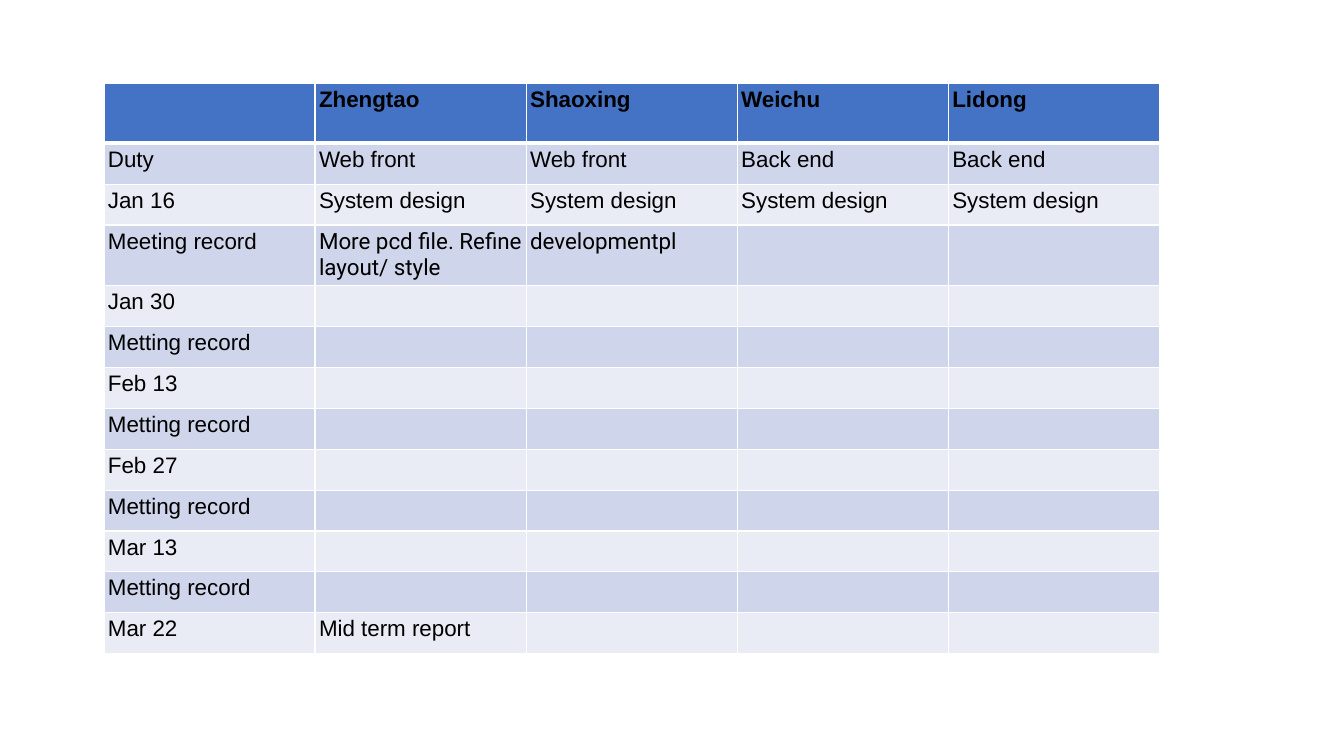
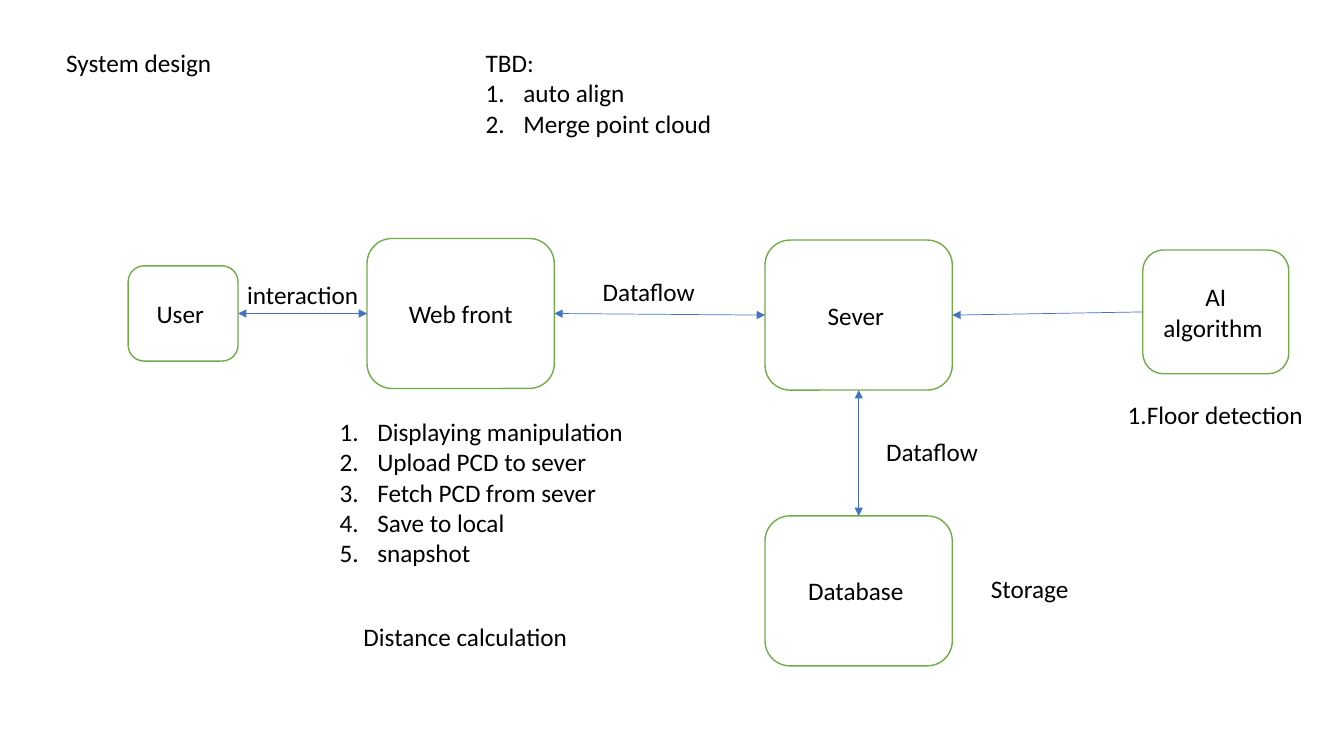
from lxml import etree
from pptx import Presentation
from pptx.dml.color import RGBColor
from pptx.enum.shapes import MSO_CONNECTOR, MSO_SHAPE
from pptx.enum.text import MSO_ANCHOR, MSO_AUTO_SIZE, PP_ALIGN
from pptx.oxml.ns import qn
from pptx.util import Cm, Pt

BLACK = RGBColor(0x00, 0x00, 0x00)
WHITE = RGBColor(0xFF, 0xFF, 0xFF)
BLUE = RGBColor(0x44, 0x72, 0xC4)
GREEN = RGBColor(0x70, 0xAD, 0x47)
BAND_DARK = RGBColor(0xCF, 0xD5, 0xEA)
BAND_LIGHT = RGBColor(0xE9, 0xEB, 0xF5)

STRAIGHT = MSO_CONNECTOR.STRAIGHT
ROUNDED = MSO_SHAPE.ROUNDED_RECTANGLE
MIDDLE = MSO_ANCHOR.MIDDLE
CENTER = PP_ALIGN.CENTER
GROW = MSO_AUTO_SIZE.SHAPE_TO_FIT_TEXT
TOP, LEFT, BOTTOM, RIGHT = range(4)

BODY_FONT, TABLE_FONT, RECORD_FONT = "Calibri", "Arial", "Roboto"

SCHEDULE = [
    ["", "Zhengtao", "Shaoxing", "Weichu", "Lidong"],
    ["Duty", "Web front", "Web front", "Back end", "Back end"],
    ["Jan 16"] + ["System design"] * 4,
    ["Meeting record", "More pcd file. Refine layout/ style", "developmentpl"],
    ["Jan 30"],
    ["Metting record"],
    ["Feb 13"],
    ["Metting record"],
    ["Feb 27"],
    ["Metting record"],
    ["Mar 13"],
    ["Metting record"],
    ["Mar 22", "Mid term report"],
]
HEADER_ROW, RECORD_ROW = 0, 3
TABLE_LEFT, TABLE_TOP, COLUMN_WIDTH = 2.62, 2.11, 5.32
ROW_HEIGHT = 1.03
TALL_ROWS = {HEADER_ROW: 1.5, RECORD_ROW: 1.53}

BOXES = {
    "web": ("Web front", 9.25, 6.01, 4.72, 3.78),
    "server": ("Sever ", 19.28, 6.05, 4.72, 3.78),
    "database": ("Database ", 19.28, 13, 4.72, 3.78),
    "user": ("User ", 3.23, 6.7, 2.77, 2.4),
    "algorithm": ("AI algorithm ", 28.8, 6.3, 3.68, 3.12),
}

ARROWS = [
    ("user", RIGHT, "web", LEFT, True),
    ("server", BOTTOM, "database", TOP, True),
    ("web", RIGHT, "server", LEFT, True),
    ("algorithm", LEFT, "server", RIGHT, False),
]

LABELS = [
    (["System design"], [], 1.42, 1.07, 4.34),
    (["interaction"], [], 5.98, 6.91, 3.35),
    (["Dataflow"], [], 22.08, 10.88, 3),
    (["Dataflow"], [], 14.94, 6.83, 3),
    ([], ["Displaying manipulation", "Upload PCD to sever", "Fetch PCD from sever",
          "Save to local", "snapshot"], 8.31, 10.37, 8.23),
    (["Storage"], [], 24.72, 14.33, 2.64),
    (["TBD:"], ["auto align", "Merge point cloud"], 11.99, 1.07, 6.43),
    (["1.Floor detection"], [], 28.17, 9.93, 4.98),
    (["Distance calculation"], [], 8.91, 15.53, 5.72),
]
LINE_HEIGHT, PADDING, NUMBER_INDENT = 0.77, 0.25, 0.95


def style_paragraph(paragraph, font_name, size, bold=False):
    for run in paragraph.runs:
        run.font.name = font_name
        run.font.size = Pt(size)
        run.font.bold = bold
        run.font.color.rgb = BLACK


def add_borders(cell, bottom_width):
    properties = cell._tc.get_or_add_tcPr()
    for position, side in enumerate(("lnL", "lnR", "lnT", "lnB")):
        width = bottom_width if side == "lnB" else 1
        border = etree.Element(qn(f"a:{side}"), w=str(Pt(width)))
        fill = etree.SubElement(border, qn("a:solidFill"))
        etree.SubElement(fill, qn("a:srgbClr"), val=str(WHITE))
        properties.insert(position, border)


def add_schedule(slide):
    heights = [TALL_ROWS.get(row, ROW_HEIGHT) for row in range(len(SCHEDULE))]
    column_count = len(SCHEDULE[HEADER_ROW])
    table = slide.shapes.add_table(
        len(SCHEDULE), column_count, Cm(TABLE_LEFT), Cm(TABLE_TOP),
        Cm(COLUMN_WIDTH * column_count), Cm(sum(heights))).table
    for column in table.columns:
        column.width = Cm(COLUMN_WIDTH)
    for row, texts in enumerate(SCHEDULE):
        table.rows[row].height = Cm(heights[row])
        is_header = row == HEADER_ROW
        band = BLUE if is_header else BAND_DARK if row % 2 else BAND_LIGHT
        for column in range(column_count):
            cell = table.cell(row, column)
            cell.margin_left = cell.margin_right = Cm(0.1)
            cell.margin_top = cell.margin_bottom = Cm(0.1)
            cell.fill.solid()
            cell.fill.fore_color.rgb = band
            add_borders(cell, 3 if is_header else 1)
            if column < len(texts) and texts[column]:
                cell.text_frame.text = texts[column]
                is_record = row == RECORD_ROW and column > 0
                style_paragraph(cell.text_frame.paragraphs[0],
                                RECORD_FONT if is_record else TABLE_FONT, 16, is_header)


def add_box(slide, text, left, top, width, height):
    shape = slide.shapes.add_shape(ROUNDED, Cm(left), Cm(top), Cm(width), Cm(height))
    shape.shadow.inherit = False
    shape.fill.solid()
    shape.fill.fore_color.rgb = WHITE
    shape.line.color.rgb = GREEN
    shape.line.width = Pt(1)
    frame = shape.text_frame
    frame.word_wrap = True
    frame.vertical_anchor = MIDDLE
    frame.text = text
    frame.paragraphs[0].alignment = CENTER
    style_paragraph(frame.paragraphs[0], BODY_FONT, 18)
    return shape


def add_arrow(slide, start, start_side, end, end_side, both_ends):
    connector = slide.shapes.add_connector(STRAIGHT, 0, 0, 0, 0)
    connector.begin_connect(start, start_side)
    connector.end_connect(end, end_side)
    connector.line.color.rgb = BLUE
    connector.line.width = Pt(0.5)
    line = connector.line._get_or_add_ln()
    for tag in ("a:headEnd", "a:tailEnd") if both_ends else ("a:tailEnd",):
        etree.SubElement(line, qn(tag), type="triangle")
    etree.SubElement(connector._element.spPr, qn("a:effectLst"))


def add_label(slide, plain_lines, numbered_lines, left, top, width):
    lines = plain_lines + numbered_lines
    height = PADDING + LINE_HEIGHT * len(lines)
    label = slide.shapes.add_textbox(Cm(left), Cm(top), Cm(width), Cm(height))
    frame = label.text_frame
    frame.word_wrap = False
    frame.auto_size = GROW
    frame.text = "\n".join(lines)
    for index, paragraph in enumerate(frame.paragraphs):
        style_paragraph(paragraph, BODY_FONT, 18)
        if index >= len(plain_lines):
            properties = paragraph._p.get_or_add_pPr()
            properties.set("marL", str(Cm(NUMBER_INDENT)))
            properties.set("indent", str(-Cm(NUMBER_INDENT)))
            etree.SubElement(properties, qn("a:buAutoNum"), type="arabicPeriod")


def add_system_design(slide):
    boxes = {name: add_box(slide, *box) for name, box in BOXES.items()}
    for start, start_side, end, end_side, both_ends in ARROWS:
        add_arrow(slide, boxes[start], start_side, boxes[end], end_side, both_ends)
    for label in LABELS:
        add_label(slide, *label)


def main():
    presentation = Presentation()
    presentation.slide_width = Cm(33.87)
    presentation.slide_height = Cm(19.05)
    blank = presentation.slide_layouts[6]
    for build in (add_schedule, add_system_design):
        build(presentation.slides.add_slide(blank))
    presentation.save("out.pptx")


if __name__ == "__main__":
    main()
